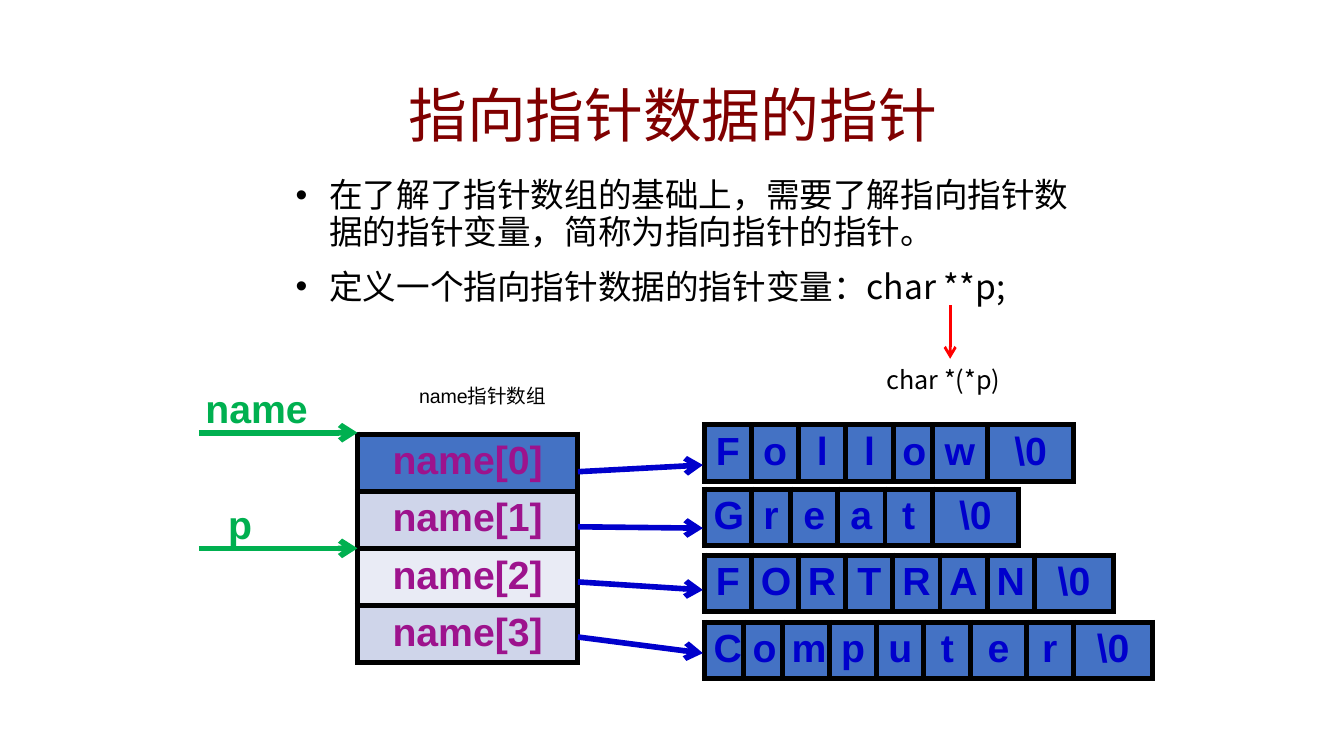
"""Build a slide that explains a pointer to an array of pointers."""
import pptx
import pptx.dml.color
import pptx.enum.shapes
import pptx.enum.text
import pptx.oxml
import pptx.oxml.ns
import pptx.util

Inches = pptx.util.Inches
Pt = pptx.util.Pt
ALIGN = pptx.enum.text.PP_ALIGN
CJK = "Noto Sans CJK SC"
SPACE = pptx.oxml.ns.nsdecls("a")


def color(code):
    """Turn a hex string into a colour."""
    return pptx.dml.color.RGBColor.from_string(code)


def write(para, text, size, code, face="Arial", bold=False):
    """Add one formatted run to a paragraph."""
    run = para.add_run()
    run.text = text
    run.font.size = Pt(size)
    run.font.name = face
    run.font.bold = bold
    run.font.color.rgb = color(code)
    asian = pptx.oxml.parse_xml(f'<a:ea {SPACE} typeface="{CJK}"/>')
    run.font._element.find(pptx.oxml.ns.qn("a:latin")).addnext(asian)


deck = pptx.Presentation()
deck.slide_width = Inches(10)
deck.slide_height = Inches(10 * 9 / 16)
slide = deck.slides.add_slide(deck.slide_layouts[1])
shapes = slide.shapes

title = shapes.title
body = slide.placeholders[1]
for holder, place in ((title, (1.37, 0.53, 7.27, 0.63)),
                      (body, (2.13, 1.29, 5.98, 1.1))):
    holder.left, holder.top, holder.width, holder.height = map(Inches, place)
    frame = holder.text_frame
    frame.word_wrap = True
    frame.auto_size = pptx.enum.text.MSO_AUTO_SIZE.NONE
    frame.margin_left = frame.margin_right = Inches(0.07)
    frame.margin_top = frame.margin_bottom = Inches(0.04)

title.text_frame.vertical_anchor = pptx.enum.text.MSO_ANCHOR.MIDDLE
para = title.text_frame.paragraphs[0]
para.alignment = ALIGN.CENTER
write(para, "指向指针数据的指针", 31.5, "800000")

points = [
    ("在了解了指针数组的基础上，需要了解指向指针数据的指针变量，简称为指向指针的指针。", "Arial"),
    ("定义一个指向指针数据的指针变量：char **p;", CJK),
]
frame = body.text_frame
for index, (text, face) in enumerate(points):
    para = frame.add_paragraph() if index else frame.paragraphs[0]
    props = para._p.get_or_add_pPr()
    props.set("marL", str(Inches(0.25)))
    props.set("indent", str(-Inches(0.25)))
    props.append(pptx.oxml.parse_xml(f'<a:buChar {SPACE} char="•"/>'))
    para.line_spacing = 0.9
    para.space_before = Pt(10 if index else 0)
    write(para, text, 18, "000000", face)

BLUE = "4472C4"
words = [
    ("Follow", 3.16, 2.75, [0.35, 0.35, 0.35, 0.35, 0.29, 0.41, 0.64]),
    ("Great", 3.64, 2.34, [0.35, 0.29, 0.35, 0.35, 0.35, 0.64]),
    ("FORTRAN", 4.13, 3.05, [0.35] * 7 + [0.59]),
    ("Computer", 4.63, 3.34, [0.29, 0.29, 0.35, 0.35, 0.35, 0.35, 0.41, 0.35, 0.59]),
]
grids = [(5.24, top, total, 0.42, widths, [list(word) + ["\\0"]], [BLUE], "0000CC")
         for word, top, total, widths in words]
names = [[f"name[{row}]"] for row in range(4)]
grids.append((2.66, 3.23, 1.64, 1.7, [1.64], names,
              [BLUE, "CFD5EA", "E9EBF5", "CFD5EA"], "9D138D"))

for left, top, total, height, widths, rows, fills, ink in grids:
    table = shapes.add_table(len(rows), len(widths),
                             *map(Inches, (left, top, total, height))).table
    table.first_row = table.horz_banding = False
    for col, width in enumerate(widths):
        table.columns[col].width = Inches(width * total / sum(widths))
    for row, texts in enumerate(rows):
        table.rows[row].height = Inches(height / len(rows))
        for col, text in enumerate(texts):
            cell = table.cell(row, col)
            cell.margin_left = cell.margin_right = Inches(0.07)
            cell.margin_top = cell.margin_bottom = Inches(0.04)
            cell.fill.solid()
            cell.fill.fore_color.rgb = color(fills[row])
            para = cell.text_frame.paragraphs[0]
            para.alignment = ALIGN.CENTER
            write(para, text, 21, ink, bold=True)
            for place, side in enumerate("LRTB"):
                cell._tc.tcPr.insert(place, pptx.oxml.parse_xml(
                    f'<a:ln{side} {SPACE} w="{Pt(3)}"><a:solidFill>'
                    f'<a:srgbClr val="000000"/></a:solidFill></a:ln{side}>'))

links = [
    (4.3, 3.51, 5.23, 3.46, "0000CC", 3),
    (4.3, 3.92, 5.23, 3.93, "0000CC", 3),
    (4.3, 4.33, 5.23, 4.39, "0000CC", 3),
    (4.3, 4.74, 5.23, 4.86, "0000CC", 3),
    (1.48, 3.22, 2.66, 3.22, "00B050", 3),
    (1.48, 4.08, 2.66, 4.08, "00B050", 3),
    (7.07, 2.27, 7.07, 2.67, "FF0000", 1.5),
]
for *ends, code, weight in links:
    link = shapes.add_connector(pptx.enum.shapes.MSO_CONNECTOR.STRAIGHT, *map(Inches, ends))
    link.line.color.rgb = color(code)
    link.line.width = Pt(weight)
    link.line._get_or_add_ln().append(
        pptx.oxml.parse_xml(f'<a:tailEnd {SPACE} type="arrow"/>'))
    link._element.spPr.append(pptx.oxml.parse_xml(f'<a:effectLst {SPACE}/>'))

labels = [
    ("name", 1.43, 2.81, 1.11, 0.45, 21, "00B050", "Arial", True),
    ("p", 1.6, 3.67, 0.53, 0.45, 21, "00B050", "Arial", True),
    ("char *(*p)", 6.5, 2.66, 1.14, 0.33, 13.5, "000000", CJK, False),
    ("name指针数组", 3.02, 2.81, 1.16, 0.28, 10.5, "000000", "Arial", False),
]
for text, left, top, width, height, size, code, face, bold in labels:
    box = shapes.add_textbox(*map(Inches, (left, top, width, height)))
    box.text_frame.word_wrap = face != CJK
    write(box.text_frame.paragraphs[0], text, size, code, face, bold)

deck.save("out.pptx")
